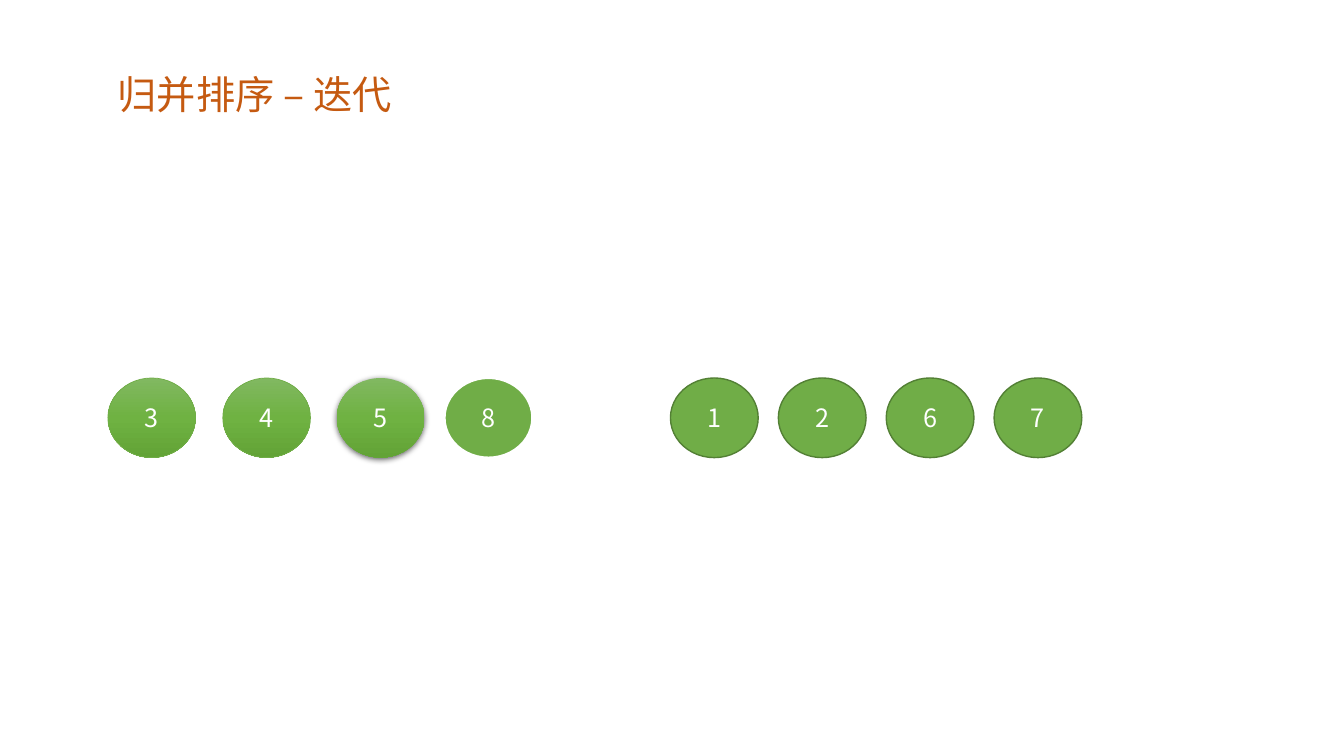
import copy
from dataclasses import dataclass

from lxml import etree
from pptx import Presentation
from pptx import util as u
from pptx.dml.color import RGBColor
from pptx.enum import shapes, text
from pptx.oxml.ns import qn


@dataclass(frozen=True)
class Theme:
    """Colours, fonts and type sizes of the slide."""
    title: str = "C55A11"
    green: str = "70AD47"
    dark_green: str = "538035"
    white: str = "FFFFFF"
    shadow: str = "000000"
    gradient: tuple = ((0, "81B861"), (0.5, "6FB242"), (1, "62A336"))
    title_font: str = "Arial"
    cjk_font: str = "Noto Sans CJK SC"
    title_size: int = 28
    number_size: int = 18


T = Theme()
TOP, WIDTH, HEIGHT = 3.75, 0.87, 0.79


def style_run(r, size, font, color):
    """Set size, Latin and East Asian fonts and colour of a run."""
    r.font.size = u.Pt(size)
    r.font.name = font
    r.font.color.rgb = RGBColor.from_string(color)
    ea = etree.SubElement(r.font._element, qn("a:ea"))
    ea.set("typeface", T.cjk_font)


def fill_gradient(fill):
    """Fill from top to bottom with the three theme stops."""
    fill.gradient()
    fill.gradient_angle = 270
    first = fill.gradient_stops[0]._gs
    first.addnext(copy.deepcopy(first))
    for stop, (position, color) in zip(fill.gradient_stops, T.gradient):
        stop.position = position
        stop.color.rgb = RGBColor.from_string(color)


def add_soft_shadow(sp):
    """Put a soft shadow just below a shape."""
    effects = sp._element.spPr.find(qn("a:effectLst"))
    shadow = etree.SubElement(effects, qn("a:outerShdw"), blurRad=str(u.Pt(4.5)),
                              dist=str(u.Pt(1.5)), dir="5400000",
                              algn="ctr", rotWithShape="0")
    color = etree.SubElement(shadow, qn("a:srgbClr"), val=T.shadow)
    etree.SubElement(color, qn("a:alpha"), val="63000")


def add_number(s, number, left, line=None, gradient=False):
    """Add a numbered ellipse; line is a (colour, width) pair or None."""
    sp = s.shapes.add_shape(shapes.MSO_SHAPE.OVAL, u.Inches(left), u.Inches(TOP),
                            u.Inches(WIDTH), u.Inches(HEIGHT))
    sp.shadow.inherit = False
    if gradient:
        fill_gradient(sp.fill)
    else:
        sp.fill.solid()
        sp.fill.fore_color.rgb = RGBColor.from_string(T.green)
    if line:
        color, width = line
        sp.line.color.rgb = RGBColor.from_string(color)
        sp.line.width = u.Pt(width)
    else:
        sp.line.fill.background()
    tf = sp.text_frame
    tf.text = str(number)
    tf.vertical_anchor = text.MSO_ANCHOR.MIDDLE
    p = tf.paragraphs[0]
    p.alignment = text.PP_ALIGN.CENTER
    style_run(p.runs[0], T.number_size, T.cjk_font, T.white)
    return sp


def add_title(s, words):
    """Add the slide title."""
    sp = s.shapes.add_textbox(u.Inches(1.07), u.Inches(0.65),
                              u.Inches(3.15), u.Inches(0.57))
    tf = sp.text_frame
    tf.word_wrap = False
    tf.auto_size = text.MSO_AUTO_SIZE.SHAPE_TO_FIT_TEXT
    tf.text = words
    style_run(tf.paragraphs[0].runs[0], T.title_size, T.title_font, T.title)


def main():
    """Build the slide with its two sorted runs."""
    prs = Presentation()
    prs.slide_width, prs.slide_height = u.Inches(13.33), u.Inches(7.5)
    s = prs.slides.add_slide(prs.slide_layouts[6])
    add_title(s, "归并排序 – 迭代")

    for number, left in ((3, 1.07), (4, 2.21)):
        add_number(s, number, left, (T.green, 0.5), gradient=True)
    add_soft_shadow(add_number(s, 5, 3.34, gradient=True))
    add_number(s, 8, 4.41, (T.white, 1.5))

    for i, number in enumerate((1, 2, 6, 7)):
        add_number(s, number, 6.65 + 1.07 * i, (T.dark_green, 1))

    prs.save("out.pptx")


main()
